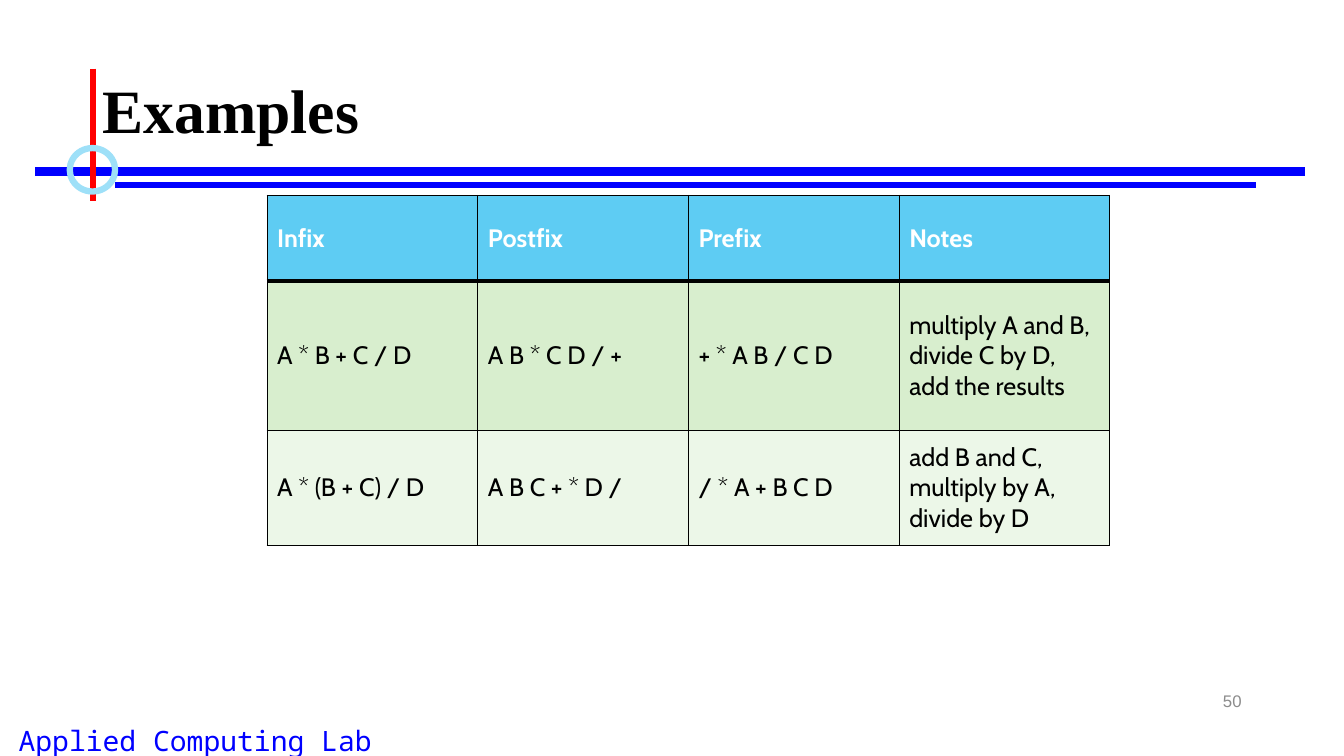
from lxml.etree import SubElement
from pptx import Presentation
from pptx.dml.color import RGBColor
from pptx.enum.shapes import MSO_CONNECTOR, MSO_SHAPE
from pptx.enum.text import MSO_ANCHOR, PP_ALIGN
from pptx.oxml.ns import qn
from pptx.util import Pt

BLACK = RGBColor(0x00, 0x00, 0x00)
WHITE = RGBColor(0xFF, 0xFF, 0xFF)
BLUE = RGBColor(0x00, 0x00, 0xFF)
RED = RGBColor(0xFF, 0x00, 0x00)
PALE_BLUE = RGBColor(0x9E, 0xE0, 0xF8)
GRAY = RGBColor(0x8C, 0x8C, 0x8C)
HEADER_BLUE = RGBColor(0x5E, 0xCC, 0xF3)
GREEN = RGBColor(0xD8, 0xEE, 0xCE)
PALE_GREEN = RGBColor(0xEC, 0xF7, 0xE8)

ROW_FILLS = [HEADER_BLUE, GREEN, PALE_GREEN]
ROW_HEIGHTS = [61.2, 106.6, 82.1]
EXPRESSIONS = [
    ["Infix", "Postfix", "Prefix", "Notes"],
    ["A * B + C / D", "A B * C D / +", "+ * A B / C D",
     "multiply A and B,\ndivide C by D,\nadd the results"],
    ["A * (B + C) / D", "A B C + * D /", "/ * A + B C D",
     "add B and C,\nmultiply by A,\ndivide by D"],
]


def write_text(text_frame, text, font_name, size, color, bold=False, align=PP_ALIGN.LEFT):
    paragraph = text_frame.paragraphs[0]
    paragraph.text = text
    paragraph.alignment = align
    for run in paragraph.runs:
        run.font.name = font_name
        run.font.size = Pt(size)
        run.font.bold = bold
        run.font.color.rgb = color
    return paragraph


def add_label(slide, box, text, font_name, size, color, align):
    shape = slide.shapes.add_textbox(*map(Pt, box))
    text_frame = shape.text_frame
    text_frame.word_wrap = True
    text_frame.vertical_anchor = MSO_ANCHOR.MIDDLE
    write_text(text_frame, text, font_name, size, color, align=align)


def add_rule(slide, start, end, color, width):
    line = slide.shapes.add_connector(MSO_CONNECTOR.STRAIGHT, *map(Pt, start + end))
    line.line.color.rgb = color
    line.line.width = Pt(width)
    SubElement(line._element.spPr, qn("a:effectLst"))


def add_title_ornament(slide, box):
    """Two blue rules, a red upright and a ring where they cross."""
    left, top, width, height = box
    rule_top = top + 73.4
    add_rule(slide, (left, rule_top), (left + width, rule_top), BLUE, 6)
    add_rule(slide, (left + 57, rule_top + 10), (left + width - 35, rule_top + 10), BLUE, 4.5)
    add_rule(slide, (left + 41, top), (left + 41, top + height), RED, 4.5)
    ring = slide.shapes.add_shape(
        MSO_SHAPE.OVAL, Pt(left + 24.6), Pt(top + 56.8), Pt(32.4), Pt(31))
    ring.shadow.inherit = False
    ring.fill.background()
    ring.line.color.rgb = PALE_BLUE
    ring.line.width = Pt(4.5)


def add_title(slide, box, text):
    title = slide.shapes.title
    title.left, title.top, title.width, title.height = map(Pt, box)
    title.text_frame.vertical_anchor = MSO_ANCHOR.MIDDLE
    paragraph = write_text(title.text_frame, text, "Times New Roman", 44, BLACK, bold=True)
    paragraph.line_spacing = 0.9


def set_borders(cell, widths):
    """Draw left, right, top and bottom borders, placed before the cell fill."""
    properties = cell._tc.get_or_add_tcPr()
    for position, (side, width) in enumerate(zip("LRTB", widths)):
        border = SubElement(properties, qn(f"a:ln{side}"), w=str(Pt(width)))
        fill = SubElement(border, qn("a:solidFill"))
        SubElement(fill, qn("a:srgbClr"), val=str(BLACK))
        properties.insert(position, border)


def add_expression_table(slide, box):
    row_count, column_count = len(EXPRESSIONS), len(EXPRESSIONS[0])
    table = slide.shapes.add_table(row_count, column_count, *map(Pt, box)).table
    for column in table.columns:
        column.width = Pt(box[2] / column_count)
    for row_index, values in enumerate(EXPRESSIONS):
        is_header = row_index == 0
        table.rows[row_index].height = Pt(ROW_HEIGHTS[row_index])
        top_width = 3 if row_index == 1 else 1
        bottom_width = 3 if is_header else 1
        for column_index, value in enumerate(values):
            cell = table.cell(row_index, column_index)
            cell.vertical_anchor = MSO_ANCHOR.MIDDLE
            cell.fill.solid()
            cell.fill.fore_color.rgb = ROW_FILLS[row_index]
            set_borders(cell, (1, 1, top_width, bottom_width))
            # Expressions stay on one line; notes have their own breaks
            text = value if column_index == 3 else value.replace(" ", "\u00a0")
            write_text(cell.text_frame, text, "Cabin", 18,
                       WHITE if is_header else BLACK, bold=is_header)


presentation = Presentation()
presentation.slide_width = Pt(960)
presentation.slide_height = Pt(540)
slide = presentation.slides.add_slide(presentation.slide_layouts[5])

# Heading
add_title_ornament(slide, (25.2, 49, 907.2, 94.3))
add_title(slide, (66, 28.75, 828, 104.4), "Examples")

# Notation table
add_expression_table(slide, (190.8, 139.7, 602, sum(ROW_HEIGHTS)))

# Footer
add_label(slide, (0, 513.4, 279, 31), "Applied Computing Lab", "Noto Sans Mono", 20,
          BLUE, PP_ALIGN.CENTER)
add_label(slide, (678, 486, 216, 28.8), "50", "Arial", 12, GRAY, PP_ALIGN.RIGHT)

presentation.save("out.pptx")
